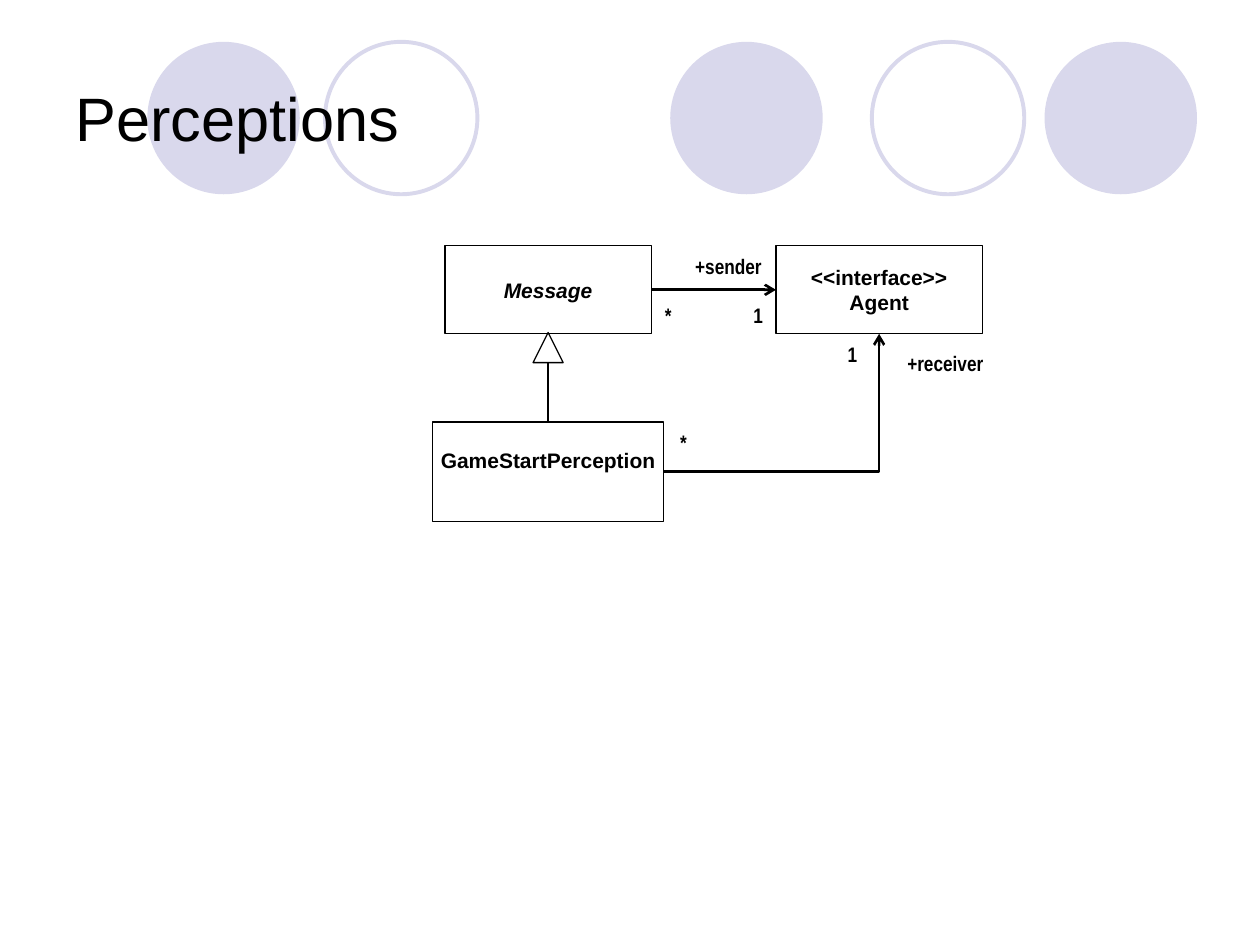
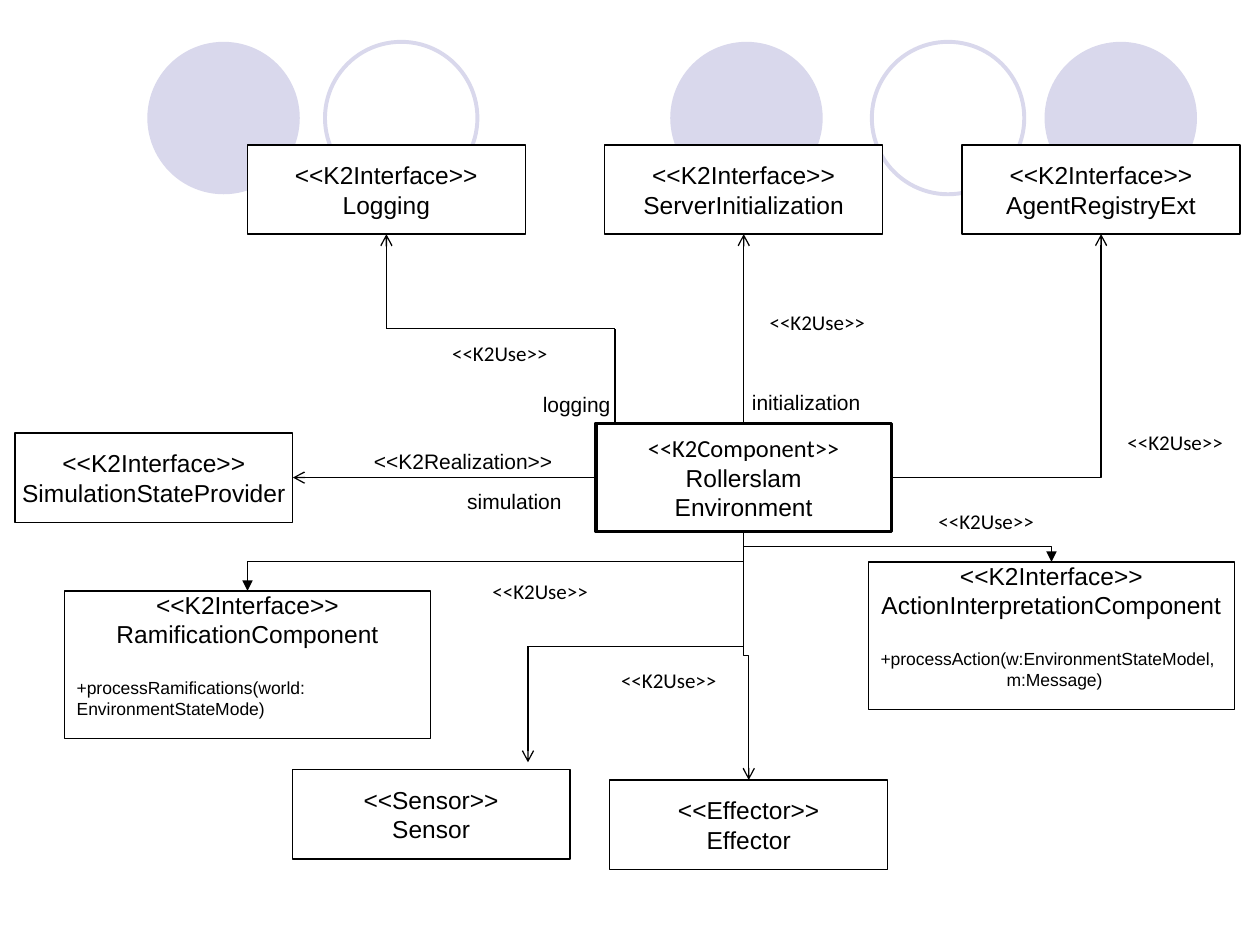
from dataclasses import dataclass

from lxml import etree
from pptx import Presentation
from pptx.dml.color import RGBColor
from pptx.enum.shapes import MSO_CONNECTOR, MSO_SHAPE
from pptx.enum.text import MSO_ANCHOR, PP_ALIGN
from pptx.oxml.ns import qn
from pptx.util import Pt

RECT, ELLIPSE, TRIANGLE = MSO_SHAPE.RECTANGLE, MSO_SHAPE.OVAL, MSO_SHAPE.ISOSCELES_TRIANGLE
STRAIGHT, ELBOW = MSO_CONNECTOR.STRAIGHT, MSO_CONNECTOR.ELBOW
LEFT, CENTER = PP_ALIGN.LEFT, PP_ALIGN.CENTER
TOP_ANCHOR, MIDDLE = MSO_ANCHOR.TOP, MSO_ANCHOR.MIDDLE
TOP_SIDE, LEFT_SIDE, BOTTOM_SIDE, RIGHT_SIDE = range(4)


@dataclass(frozen=True)
class Theme:
    ink: RGBColor = RGBColor(0, 0, 0)
    paper: RGBColor = RGBColor(255, 255, 255)
    lilac: RGBColor = RGBColor(0xD9, 0xD8, 0xEC)
    font: str = "Arial"
    narrow: str = "Arial Narrow"
    stereotype: str = "Calibri"
    title: int = 35
    node: int = 14
    label: int = 12
    method: int = 10
    thin: float = 0.75
    medium: float = 1.5
    thick: float = 2
    ring: float = 2.25


THEME = Theme()


def write(tf, lines, **base):
    for i, line in enumerate(lines):
        text, extra = line if isinstance(line, tuple) else (line, {})
        fmt = {"size": THEME.label, "font": THEME.font, "bold": False, "italic": False,
               "align": LEFT, "before": 0, "indent": 0, **base, **extra}
        p = tf.paragraphs[0] if i == 0 else tf.add_paragraph()
        p.text = text
        p.alignment = fmt["align"]
        if fmt["before"]:
            p.space_before = Pt(fmt["before"])
        if fmt["indent"]:
            p._p.get_or_add_pPr().set("marL", str(Pt(fmt["indent"])))
        for r in p.runs:
            r.font.size = Pt(fmt["size"])
            r.font.name = fmt["font"]
            r.font.bold = fmt["bold"]
            r.font.italic = fmt["italic"]
            r.font.color.rgb = THEME.ink


def set_frame(tf, wrap, anchor, bottom=3.6):
    tf.word_wrap = wrap
    tf.vertical_anchor = anchor
    tf.margin_left = tf.margin_right = Pt(7.2)
    tf.margin_top, tf.margin_bottom = Pt(3.6), Pt(bottom)


def add_text(s, text, x, y, w, h=21.6, anchor=TOP_ANCHOR, **fmt):
    tf = s.shapes.add_textbox(Pt(x), Pt(y), Pt(w), Pt(h)).text_frame
    set_frame(tf, False, anchor)
    write(tf, [text], **fmt)


def add_shape(s, kind, x, y, w, h, fill=None, line=None, width=THEME.thin):
    sp = s.shapes.add_shape(kind, Pt(x), Pt(y), Pt(w), Pt(h))
    sp.shadow.inherit = False
    if fill is None:
        sp.fill.background()
    else:
        sp.fill.solid()
        sp.fill.fore_color.rgb = fill
    if line is None:
        sp.line.fill.background()
    else:
        sp.line.color.rgb = line
        sp.line.width = Pt(width)
    return sp


def add_node(s, lines, x, y, w, h, width=THEME.thin, wrap=False, bottom=3.6, **fmt):
    sp = add_shape(s, RECT, x, y, w, h, THEME.paper, THEME.ink, width)
    set_frame(sp.text_frame, wrap, MIDDLE, bottom)
    write(sp.text_frame, lines, **{"size": THEME.node, "align": CENTER, **fmt})
    return sp


def style_line(c, width, head):
    c.line.color.rgb = THEME.ink
    c.line.width = Pt(width)
    if head:
        etree.SubElement(c.line._get_or_add_ln(), qn("a:tailEnd"), type=head)
    etree.SubElement(c._element.spPr, qn("a:effectLst"))


def turn_upright(c):
    dx, dy = c.end_x - c.begin_x, c.end_y - c.begin_y
    mid_x, mid_y = (c.begin_x + c.end_x) // 2, (c.begin_y + c.end_y) // 2
    c.width, c.height = abs(dy), abs(dx)
    c.left, c.top = mid_x - c.width // 2, mid_y - c.height // 2
    xfrm = c._element.spPr.find(qn("a:xfrm"))
    xfrm.set("rot", str((90 if dy > 0 else 270) * 60000))
    xfrm.set("flipH", "0")
    xfrm.set("flipV", "1" if dx * dy > 0 else "0")


def join(s, a, a_side, b, b_side, kind=STRAIGHT, width=THEME.thin, head="arrow"):
    c = s.shapes.add_connector(kind, 0, 0, 0, 0)
    c.begin_connect(a, a_side)
    c.end_connect(b, b_side)
    if kind == ELBOW:
        if a_side in (TOP_SIDE, BOTTOM_SIDE):
            turn_upright(c)
        else:
            c._element.spPr.find(qn("a:prstGeom")).set("prst", "bentConnector2")
    style_line(c, width, head)


def add_route(s, points, head="arrow"):
    legs = list(zip(points, points[1:]))
    for i, (start, end) in enumerate(legs):
        c = s.shapes.add_connector(STRAIGHT, *(Pt(v) for v in start + end))
        style_line(c, THEME.thin, head if i == len(legs) - 1 else None)


def circle_band(s, x, y):
    for dx in (0, 298.8, 512.7):
        add_shape(s, ELLIPSE, x + dx, y, 87.1, 87.1, fill=THEME.lilac)
    for dx in (101.5, 414):
        add_shape(s, ELLIPSE, x + dx, y, 87.1, 87.1, line=THEME.lilac, width=THEME.ring)


def new_slide(prs, title=None):
    s = prs.slides.add_slide(prs.slide_layouts[6])
    s.background.fill.solid()
    s.background.fill.fore_color.rgb = THEME.paper
    circle_band(s, 84.2, 23.9)
    if title:
        add_text(s, title, 36, 21.6, 648, 90, MIDDLE, size=THEME.title)
    return s


def message_diagram(s, x, y):
    message = add_node(s, ["Message"], x + 7, y, 118, 50.4,
                       size=THEME.label, bold=True, italic=True)
    agent = add_node(s, ["<<interface>>", "Agent"], x + 196.2, y, 118, 50.4,
                     size=THEME.label, bold=True)
    perception = add_node(s, ["GameStartPerception"], x, y + 100.8, 132, 56.8,
                          size=THEME.label, bold=True, bottom=17.4)
    join(s, message, RIGHT_SIDE, agent, LEFT_SIDE, width=THEME.medium)
    join(s, perception, TOP_SIDE, message, BOTTOM_SIDE, width=THEME.medium, head=None)
    join(s, perception, RIGHT_SIDE, agent, BOTTOM_SIDE, ELBOW, THEME.medium)
    add_shape(s, TRIANGLE, x + 57.4, y + 49.6, 17.2, 17.2, THEME.paper, THEME.ink)
    for text, dx, dy, w in (
        ("+sender", 143, 0.7, 54),
        ("1", 176.3, 29, 20),
        ("*", 125.7, 29, 20),
        ("1", 230.1, 51.1, 20),
        ("*", 134.4, 101.5, 20),
        ("+receiver", 264.2, 56.2, 64),
    ):
        add_text(s, text, x + dx, y + dy, w, font=THEME.narrow, bold=True)


def component_diagram(s, x, y):
    node_w, node_h = 158.8, 51
    top_names = ("Logging", "ServerInitialization", "AgentRegistryExt")
    logging, server, registry = (
        add_node(s, ["<<K2Interface>>", name], x + 132.8 + 204.2 * i, y, node_w, node_h)
        for i, name in enumerate(top_names))
    simulation = add_node(s, ["<<K2Interface>>", "SimulationStateProvider"],
                          x, y + 164.6, node_w, node_h)
    add_node(s, ["<<Sensor>>", "Sensor"], x + 158.4, y + 357.1, node_w, node_h)
    effector = add_node(s, ["<<Effector>>", "Effector"], x + 339.9, y + 362.9, node_w, node_h)
    environment = add_node(
        s, [("<<K2Component>>", {"font": THEME.stereotype}), "Rollerslam", "Environment"],
        x + 331.9, y + 159.2, 169, 61.8, THEME.thick, wrap=True)

    method = {"size": THEME.method, "align": LEFT}
    first_method = {**method, "before": 16.1}
    ramification, action = (
        add_node(s, ["<<K2Interface>>", *lines], x + dx, y + dy, 209.5, 84.2,
                 wrap=True, bottom=15.1)
        for dx, dy, lines in (
            (28.1, 254.9, ["RamificationComponent",
                           ("+processRamifications(world:\vEnvironmentStateMode)", first_method)]),
            (487.5, 238.3, ["ActionInterpretationComponent",
                            ("+processAction(w:EnvironmentStateModel,", first_method),
                            ("m:Message)", {**method, "indent": 72})]),
        ))

    join(s, environment, LEFT_SIDE, simulation, RIGHT_SIDE)
    join(s, environment, TOP_SIDE, server, BOTTOM_SIDE)
    join(s, environment, RIGHT_SIDE, registry, BOTTOM_SIDE, ELBOW)
    join(s, environment, BOTTOM_SIDE, effector, TOP_SIDE, ELBOW)
    for component in (ramification, action):
        join(s, environment, BOTTOM_SIDE, component, TOP_SIDE, ELBOW, head="triangle")
    for x1, y1, bend, x2, y2 in ((342.8, 159.2, 105.1, 212.2, node_h),
                                 (416.4, 221, 286.6, 293.1, 352.8)):
        add_route(s, [(x + x1, y + y1), (x + x1, y + bend), (x + x2, y + bend), (x + x2, y + y2)])

    for dx, dy in ((424.1, 90.7), (339.2, 295.2), (242.7, 108),
                   (628.6, 159.1), (520.6, 204.5), (265.7, 244.1)):
        add_text(s, "<<K2Use>>", x + dx, y + dy, 72, font=THEME.stereotype)
    for text, dx, dy, w in (
        ("<<K2Realization>>", 198, 169.9, 120),
        ("simulation", 251.3, 193, 72),
        ("initialization", 414, 136.1, 80),
        ("logging", 294.5, 137.5, 56),
    ):
        add_text(s, text, x + dx, y + dy, w)


def main():
    prs = Presentation()
    prs.slide_width, prs.slide_height = Pt(720), Pt(540)
    message_diagram(new_slide(prs, "Perceptions"), 247.2, 140.4)
    component_diagram(new_slide(prs), 8.6, 82.8)
    prs.save("out.pptx")


if __name__ == "__main__":
    main()
